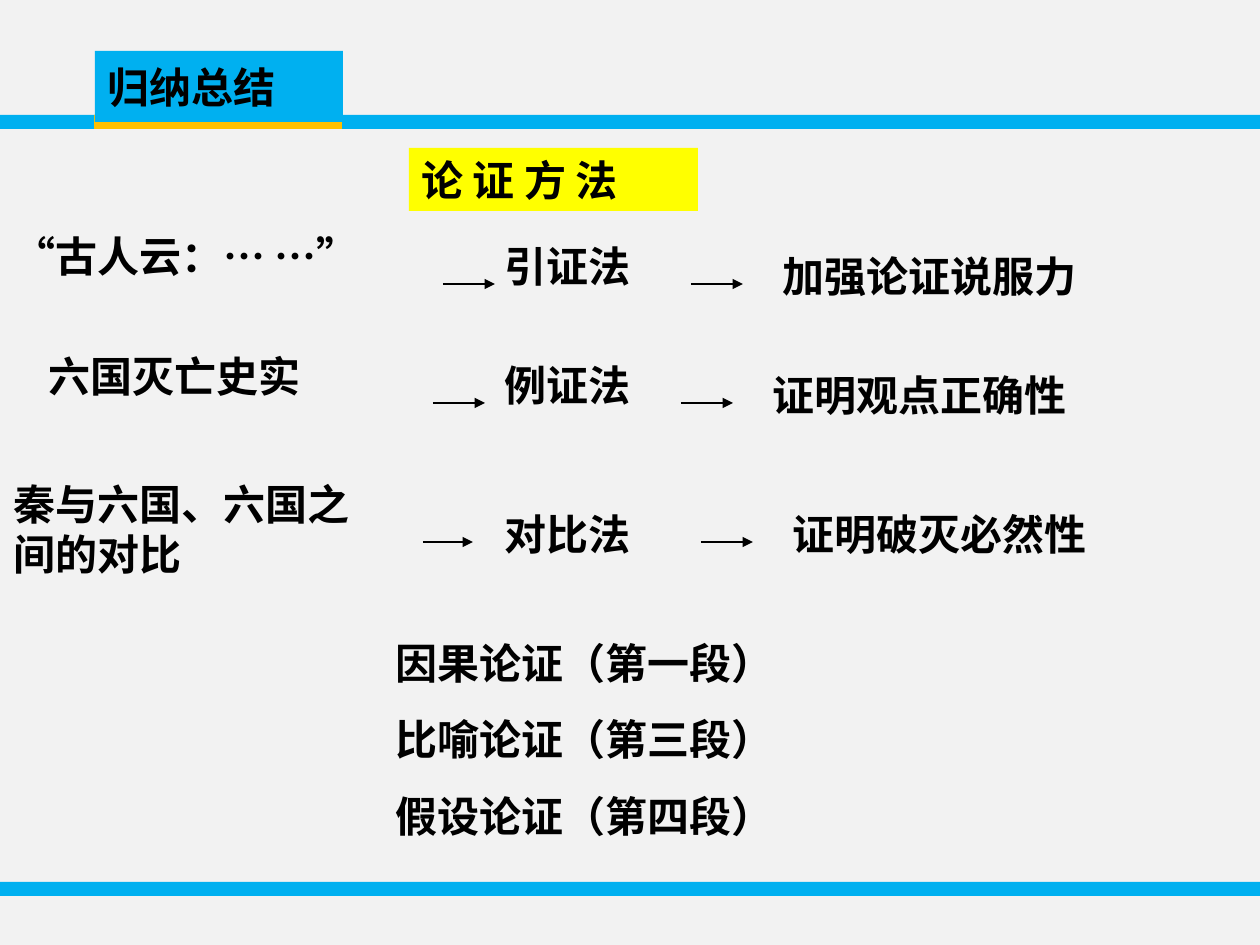
import pptx
import pptx.dml.color
import pptx.enum.shapes
import pptx.enum.text
import pptx.oxml.ns
import pptx.util
from lxml import etree

BACKGROUND = pptx.dml.color.RGBColor(0xF2, 0xF2, 0xF2)
BLUE = pptx.dml.color.RGBColor(0x00, 0xB0, 0xF0)
ORANGE = pptx.dml.color.RGBColor(0xFF, 0xC0, 0x00)
YELLOW = pptx.dml.color.RGBColor(0xFF, 0xFF, 0x00)
BLACK = pptx.dml.color.RGBColor(0x00, 0x00, 0x00)

EMU_PER_PX = 914400 / 126
WIDTH, HEIGHT = 1260, 945
BAR_HEIGHT = 14
LINE_HEIGHT = 63


def px(length):
    return pptx.util.Emu(round(length * EMU_PER_PX))


class SlideBuilder:
    """Draws styled elements on the current slide, with lengths in px."""

    font_name = "Noto Sans CJK SC"
    font_size = pptx.util.Pt(24)
    space_before = pptx.util.Pt(15)

    def __init__(self, slide):
        self.slide = slide

    def background(self, color):
        fill = self.slide.background.fill
        fill.solid()
        fill.fore_color.rgb = color

    def fill_text(self, shape, lines, anchor):
        frame = shape.text_frame
        frame.word_wrap = True
        frame.vertical_anchor = anchor
        frame.text = "\n".join(lines)
        for index, paragraph in enumerate(frame.paragraphs):
            paragraph.alignment = pptx.enum.text.PP_ALIGN.LEFT
            if index:
                paragraph.space_before = self.space_before
            font = paragraph.font
            font.name = self.font_name
            font.size = self.font_size
            font.bold = True
            font.color.rgb = BLACK
            properties = paragraph._p.pPr.find(pptx.oxml.ns.qn("a:defRPr"))
            latin = properties.find(pptx.oxml.ns.qn("a:latin"))
            east_asian = etree.Element(pptx.oxml.ns.qn("a:ea"), typeface=self.font_name)
            latin.addnext(east_asian)

    def box(self, left, top, width, height, color, text=None,
            anchor=pptx.enum.text.MSO_ANCHOR.MIDDLE):
        shape = self.slide.shapes.add_shape(
            pptx.enum.shapes.MSO_SHAPE.RECTANGLE, px(left), px(top), px(width), px(height))
        shape.shadow.inherit = False
        shape.fill.solid()
        shape.fill.fore_color.rgb = color
        shape.line.fill.background()
        if text:
            self.fill_text(shape, [text], anchor)

    def text(self, left, top, width, height, *lines):
        shape = self.slide.shapes.add_textbox(px(left), px(top), px(width), px(height))
        self.fill_text(shape, lines, pptx.enum.text.MSO_ANCHOR.TOP)

    def arrow(self, start, end, y):
        connector = self.slide.shapes.add_connector(
            pptx.enum.shapes.MSO_CONNECTOR.STRAIGHT, px(start), px(y), px(end), px(y))
        connector.line.color.rgb = BLACK
        connector.line.width = pptx.util.Pt(0.75)
        properties = connector._element.spPr
        outline = properties.find(pptx.oxml.ns.qn("a:ln"))
        etree.SubElement(outline, pptx.oxml.ns.qn("a:tailEnd"), type="triangle")
        etree.SubElement(properties, pptx.oxml.ns.qn("a:effectLst"))


def main():
    presentation = pptx.Presentation()
    presentation.slide_width = px(WIDTH)
    presentation.slide_height = px(HEIGHT)
    builder = SlideBuilder(presentation.slides.add_slide(presentation.slide_layouts[6]))

    builder.background(BACKGROUND)
    for top in (882, 115):
        builder.box(0, top, WIDTH, BAR_HEIGHT, BLUE)
    builder.box(94, 115, 248, BAR_HEIGHT, ORANGE)
    builder.box(409, 148, 289, LINE_HEIGHT, YELLOW, "论 证 方 法",
                pptx.enum.text.MSO_ANCHOR.TOP)

    rows = [
        (("“古人云：… …”", 1, 224, 481, LINE_HEIGHT), ("引证法", 234),
         ("加强论证说服力", 770, 244, 446), (443, 495), (691, 743), 284),
        (("六国灭亡史实", 36, 344, 376, LINE_HEIGHT), ("例证法", 353),
         ("证明观点正确性", 760, 363, 436), (433, 485), (681, 733), 403),
        (("秦与六国、六国之间的对比", 1, 472, 402, 113), ("对比法", 502),
         ("证明破灭必然性", 780, 502, 437), (423, 473), (701, 753), 542),
    ]
    for evidence, method, effect, first_arrow, second_arrow, arrow_y in rows:
        text, left, top, width, height = evidence
        builder.text(left, top, width, height, text)
        builder.arrow(*first_arrow, arrow_y)
        text, top = method
        builder.text(492, top, 218, LINE_HEIGHT, text)
        builder.arrow(*second_arrow, arrow_y)
        text, left, top, width = effect
        builder.text(left, top, width, LINE_HEIGHT, text)

    builder.text(383, 631, 714, 217,
                 "因果论证（第一段）", "比喻论证（第三段）", "假设论证（第四段）")
    builder.box(95, 51, 248, 71, BLUE, "归纳总结")
    presentation.save("out.pptx")


if __name__ == "__main__":
    main()
